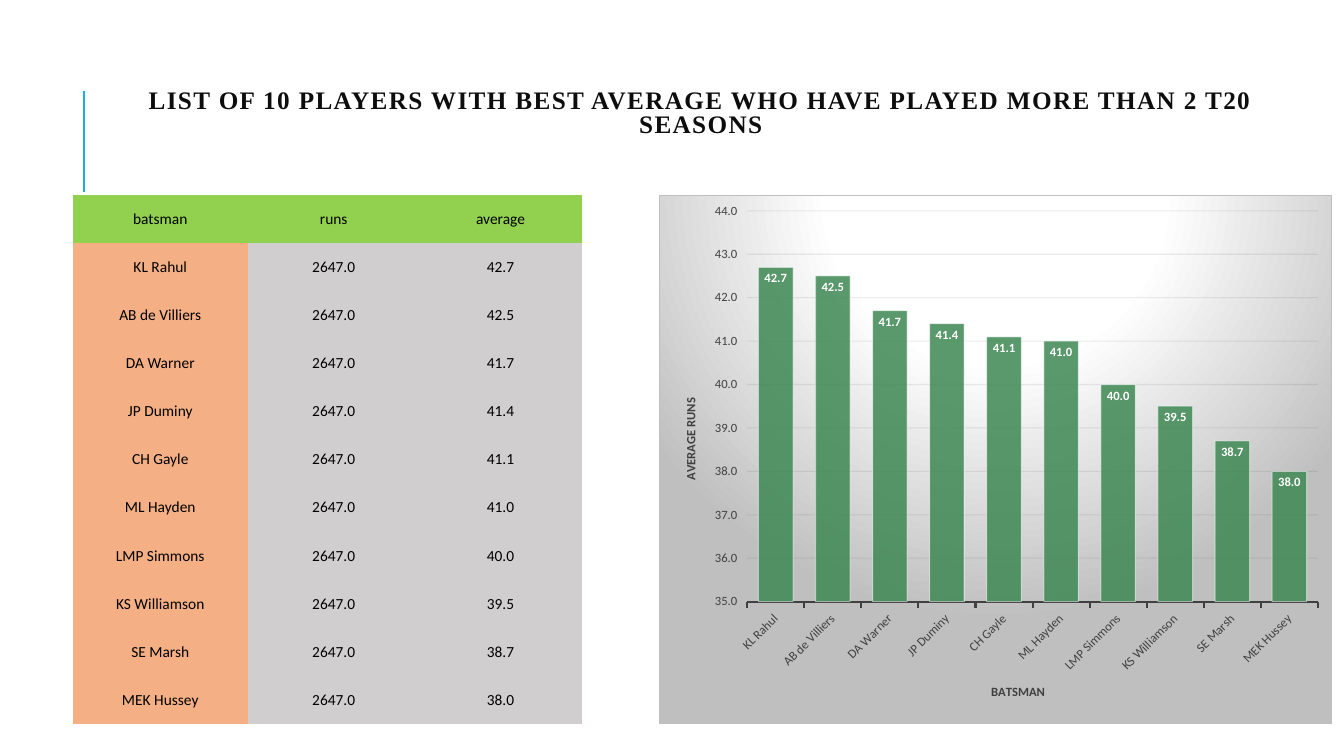
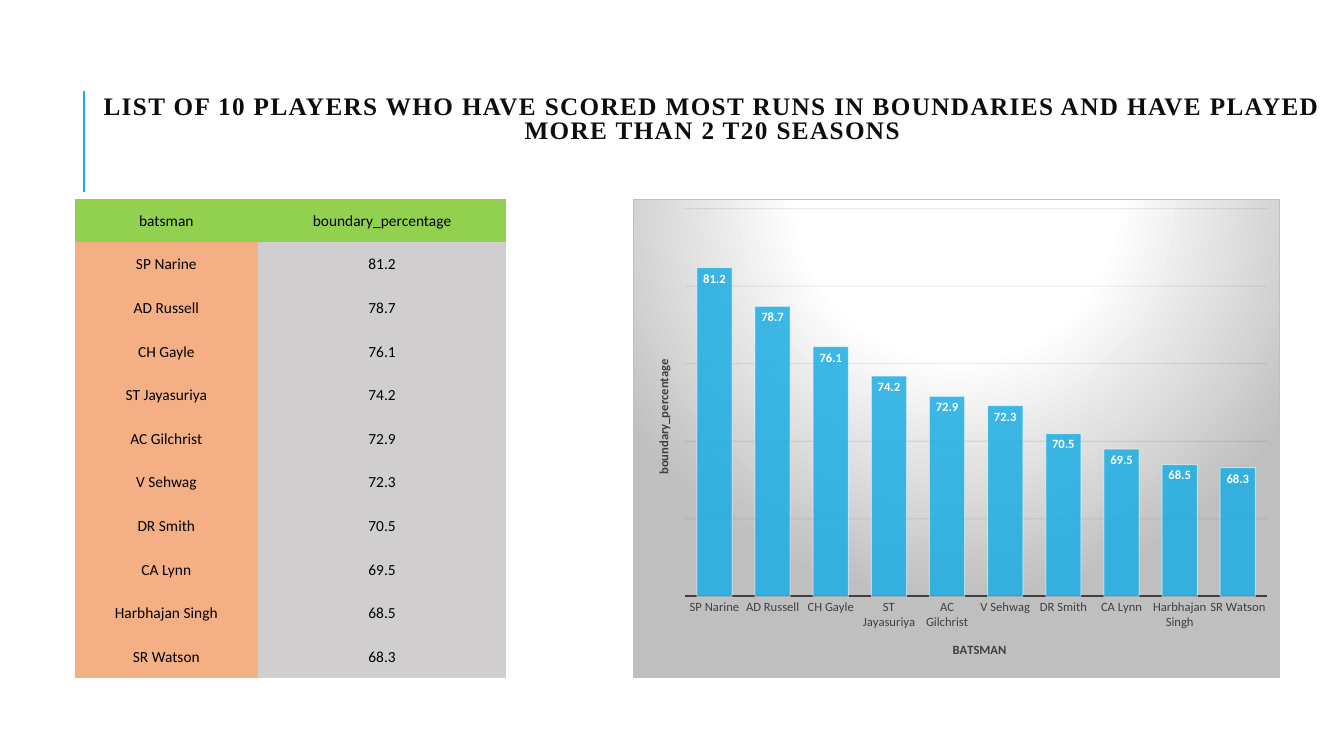
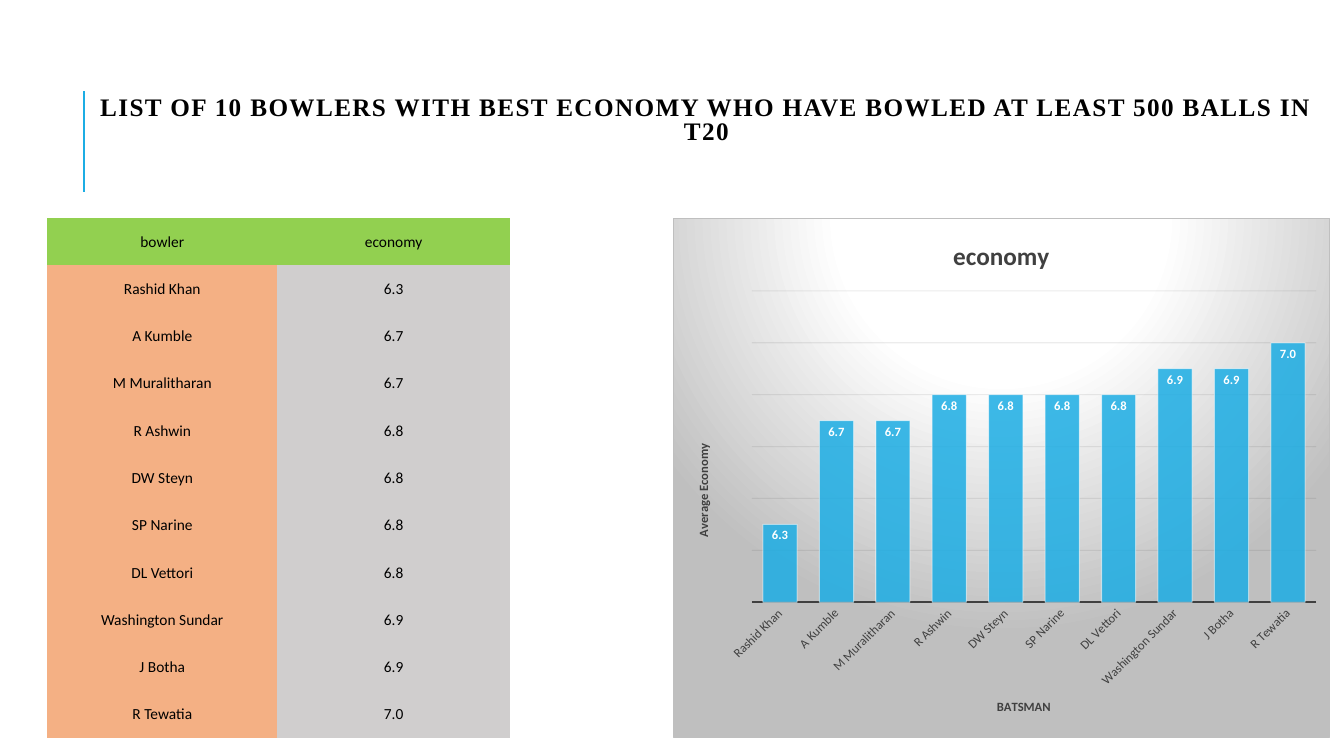
from lxml import etree
from pptx import Presentation
from pptx import util as u
from pptx.chart.data import CategoryChartData
from pptx.dml.color import RGBColor
from pptx.enum import chart as charts, shapes, text
from pptx.oxml import parse_xml
from pptx.oxml.ns import nsdecls, qn

BLACK = RGBColor(0x00, 0x00, 0x00)
INK = RGBColor(0x0D, 0x0D, 0x0D)
GREY = RGBColor(0x40, 0x40, 0x40)
WHITE = RGBColor(0xFF, 0xFF, 0xFF)
BLUE = RGBColor(0x1C, 0xAD, 0xE4)
GREEN = RGBColor(0x3E, 0x88, 0x53)
HEADER = RGBColor(0x92, 0xD0, 0x50)
NAMES = RGBColor(0xF4, 0xB0, 0x84)
FIGURES = RGBColor(0xD0, 0xCE, 0xCE)
PLAIN_TABLE = "{2D5ABB26-0587-4C30-8999-92F81FD0307C}"
CHART_BACKGROUND = f"""<c:spPr {nsdecls('c', 'a')}>
<a:gradFill><a:gsLst>
<a:gs pos="0"><a:srgbClr val="FFFFFF"/></a:gs>
<a:gs pos="39000"><a:srgbClr val="FFFFFF"/></a:gs>
<a:gs pos="100000"><a:srgbClr val="BFBFBF"/></a:gs>
</a:gsLst><a:path path="circle">
<a:fillToRect l="50000" t="-80000" r="50000" b="180000"/></a:path></a:gradFill>
<a:ln w="9525"><a:solidFill><a:srgbClr val="BFBFBF"/></a:solidFill></a:ln>
</c:spPr>"""


def set_font(font, size, color, bold=False, name="Calibri"):
    font.name, font.size, font.bold = name, u.Pt(size), bold
    font.color.rgb = color


def set_fill(fill, color, opacity=100):
    fill.solid()
    fill.fore_color.rgb = color
    if opacity < 100:
        solid = fill._xPr.find(qn("a:solidFill"))
        etree.SubElement(solid[0], qn("a:alpha")).set("val", str(opacity * 1000))


def set_layout(parent, index, **fractions):
    old = parent.find(qn("c:layout"))
    if old is not None:
        parent.remove(old)
    layout = etree.Element(qn("c:layout"))
    manual = etree.SubElement(layout, qn("c:manualLayout"))
    if "w" in fractions:
        etree.SubElement(manual, qn("c:layoutTarget")).set("val", "inner")
    for mode in ("xMode", "yMode"):
        etree.SubElement(manual, qn(f"c:{mode}")).set("val", "edge")
    for key, value in fractions.items():
        etree.SubElement(manual, qn(f"c:{key}")).set("val", str(value))
    parent.insert(index, layout)


class Deck:
    def __init__(self):
        self.prs = Presentation()
        self.prs.slide_width = u.Inches(13.33)
        self.prs.slide_height = u.Inches(7.5)
        self.slide = None

    def start(self, heading, box, color=INK):
        self.slide = self.prs.slides.add_slide(self.prs.slide_layouts[5])
        title = self.slide.shapes.title
        title.left, title.top, title.width, title.height = map(u.Inches, box)
        frame = title.text_frame
        frame.text = heading
        frame.word_wrap = True
        frame.auto_size = text.MSO_AUTO_SIZE.NONE
        frame.vertical_anchor = text.MSO_ANCHOR.MIDDLE
        line = frame.paragraphs[0]
        line.alignment = text.PP_ALIGN.CENTER
        line.line_spacing = 0.8
        set_font(line.font, 18, color, True, "Times New Roman")
        line.runs[0].font._element.set("spc", "100")
        self.accent()

    def accent(self):
        x = u.Inches(0.83)
        rule = self.slide.shapes.add_connector(
            shapes.MSO_CONNECTOR.STRAIGHT, x, u.Inches(1.9), x, u.Inches(0.9))
        rule.line.color.rgb = BLUE
        rule.line.width = u.Pt(1.5)
        etree.SubElement(rule._element.spPr, qn("a:effectLst"))

    def table(self, left, top, height, widths, rows):
        frame = self.slide.shapes.add_table(
            len(rows), len(widths), u.Inches(left), u.Inches(top),
            u.Inches(sum(widths)), u.Inches(height))
        table = frame.table
        table._tbl.tblPr.find(qn("a:tableStyleId")).text = PLAIN_TABLE
        for column, width in zip(table.columns, widths):
            column.width = u.Inches(width)
        for r, row in enumerate(rows):
            for c, value in enumerate(row):
                color = HEADER if r == 0 else NAMES if c == 0 else FIGURES
                self.cell(table.cell(r, c), value, color)

    def cell(self, cell, value, color):
        cell.text = value
        set_fill(cell.fill, color)
        cell.vertical_anchor = text.MSO_ANCHOR.MIDDLE
        cell.margin_left = cell.margin_top = cell.margin_right = u.Inches(0.01)
        cell.margin_bottom = 0
        line = cell.text_frame.paragraphs[0]
        line.alignment = text.PP_ALIGN.CENTER
        set_font(line.font, 11, BLACK)

    def chart(self, box, scores, scale, plot, value_title, value_title_y,
              color=BLUE, series_name="Series 1", title=None,
              show_values=False, label_angle=0):
        data = CategoryChartData(number_format="0.0")
        data.categories = list(scores)
        data.add_series(series_name, list(scores.values()))
        chart = self.slide.shapes.add_chart(
            charts.XL_CHART_TYPE.COLUMN_CLUSTERED, *map(u.Inches, box), data).chart
        set_font(chart.font, 10, BLACK)
        chart.has_legend = False
        chart.has_title = title is not None
        if title:
            self.chart_title(chart.chart_title, title, 18, 0.42, 0.03)
        space = chart._chartSpace
        space.find(qn("c:chart")).addnext(parse_xml(CHART_BACKGROUND))
        x, y, w, h = plot
        set_layout(next(space.iter(qn("c:plotArea"))), 0, x=x, y=y, w=w, h=h)
        self.bars(chart.plots[0], color)
        self.category_axis(chart.category_axis, show_values, label_angle)
        self.value_axis(chart.value_axis, scale, show_values)
        self.chart_title(chart.value_axis.axis_title, value_title, 9, 0.03, value_title_y)

    def chart_title(self, title, wording, size, x, y):
        title.text_frame.text = wording
        set_font(title.text_frame.paragraphs[0].font, size, GREY, True)
        set_layout(title._element, 1, x=x, y=y)

    def bars(self, plot, color):
        plot.gap_width = 65
        plot.vary_by_categories = False
        bars = plot.series[0]
        set_fill(bars.format.fill, color, 85)
        bars.format.line.width = u.Pt(0.75)
        set_fill(bars.format.line.fill, WHITE, 50)
        labels = bars.data_labels
        labels.show_value = True
        labels.position = charts.XL_LABEL_POSITION.INSIDE_END
        labels.number_format = "0.0"
        labels.number_format_is_linked = False
        set_font(labels.font, 9, WHITE, True)

    def category_axis(self, axis, ticks, angle):
        marks = charts.XL_TICK_MARK
        axis.major_tick_mark = marks.OUTSIDE if ticks else marks.NONE
        axis.has_major_gridlines = False
        axis.format.line.color.rgb = GREY
        axis.format.line.width = u.Pt(1.5)
        set_font(axis.tick_labels.font, 9, GREY)
        body = axis._element.find(qn("c:txPr")).find(qn("a:bodyPr"))
        body.set("rot", str(angle * 60000))
        self.chart_title(axis.axis_title, "BATSMAN", 9, 0.49, 0.92)

    def value_axis(self, axis, scale, visible):
        axis.minimum_scale, axis.maximum_scale, axis.major_unit = scale
        axis.visible = visible
        axis.format.line.fill.background()
        axis.tick_labels.number_format = "0.0"
        axis.tick_labels.number_format_is_linked = False
        set_font(axis.tick_labels.font, 9, GREY)
        grid = axis.major_gridlines.format.line
        grid.width = u.Pt(0.75)
        set_fill(grid.fill, INK, 7)


AVERAGES = {
    "KL Rahul": 42.7, "AB de Villiers": 42.5, "DA Warner": 41.7,
    "JP Duminy": 41.4, "CH Gayle": 41.1, "ML Hayden": 41.0,
    "LMP Simmons": 40.0, "KS Williamson": 39.5, "SE Marsh": 38.7,
    "MEK Hussey": 38.0,
}
BOUNDARIES = {
    "SP Narine": 81.2, "AD Russell": 78.7, "CH Gayle": 76.1,
    "ST Jayasuriya": 74.2, "AC Gilchrist": 72.9, "V Sehwag": 72.3,
    "DR Smith": 70.5, "CA Lynn": 69.5, "Harbhajan Singh": 68.5,
    "SR Watson": 68.3,
}
ECONOMIES = {
    "Rashid Khan": 6.3, "A Kumble": 6.7, "M Muralitharan": 6.7,
    "R Ashwin": 6.8, "DW Steyn": 6.8, "SP Narine": 6.8,
    "DL Vettori": 6.8, "Washington Sundar": 6.9, "J Botha": 6.9,
    "R Tewatia": 7.0,
}


def score_rows(header, scores, *between):
    return [header] + [(name, *between, f"{score:.1f}") for name, score in scores.items()]


def main():
    deck = Deck()

    deck.start("LIST OF 10 PLAYERS WITH BEST AVERAGE WHO HAVE PLAYED MORE THAN 2 T20 SEASONS",
               (0.84, 0.83, 12.22, 0.6))
    deck.table(0.72, 1.93, 5.25, (1.74, 1.7, 1.61),
               score_rows(("batsman", "runs", "average"), AVERAGES, "2647.0"))
    deck.chart((6.54, 1.93, 6.67, 5.25), AVERAGES, (35, 44, 1),
               (0.13, 0.03, 0.85, 0.74), "AVERAGE RUNS", 0.38,
               color=GREEN, show_values=True, label_angle=-45)

    deck.start("LIST OF 10 PLAYERS WHO HAVE SCORED MOST RUNS IN BOUNDARIES "
               "AND HAVE PLAYED MORE THAN 2 T20 SEASONS", (0.8, 0.77, 12.53, 0.84))
    deck.table(0.74, 1.97, 4.76, (1.82, 2.46),
               score_rows(("batsman", "boundary_percentage"), BOUNDARIES))
    deck.chart((6.28, 1.97, 6.42, 4.76), BOUNDARIES, (60, 85, 5),
               (0.08, 0.02, 0.9, 0.81), "boundary_percentage", 0.33)

    deck.start("LIST OF 10 BOWLERS WITH BEST ECONOMY WHO HAVE BOWLED AT LEAST 500 BALLS IN T20",
               (0.82, 0.62, 12.37, 1.16), BLACK)
    deck.table(0.47, 2.16, 5.16, (2.28, 2.31),
               score_rows(("bowler", "economy"), ECONOMIES))
    deck.chart((6.67, 2.16, 6.52, 5.16), ECONOMIES, (6, 7.2, 0.2),
               (0.12, 0.14, 0.86, 0.6), "Average Economy", 0.43,
               series_name="economy", title="economy", label_angle=-45)

    deck.prs.save("out.pptx")


if __name__ == "__main__":
    main()
